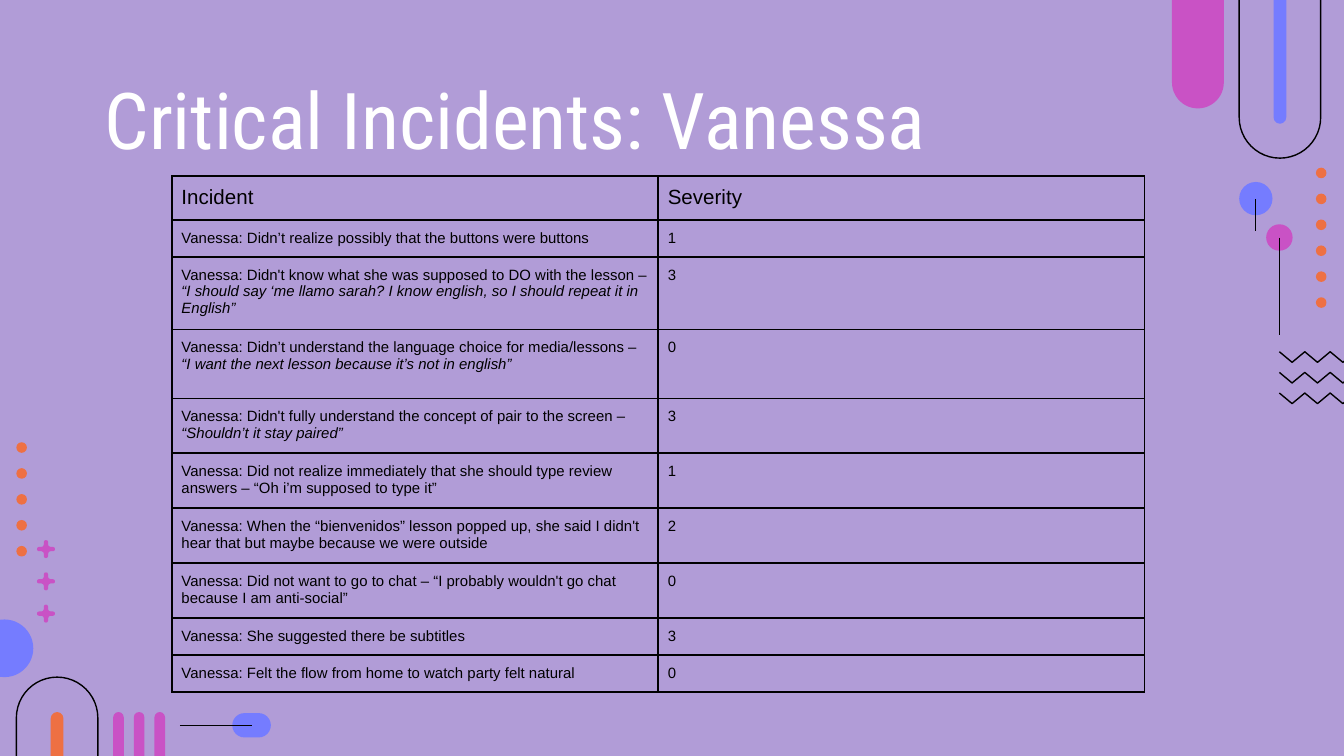
from pptx import Presentation
from pptx.dml.color import RGBColor
from pptx.enum.shapes import MSO_CONNECTOR, MSO_SHAPE as Preset
from pptx.enum.text import MSO_ANCHOR as Anchor
from pptx.oxml import parse_xml
from pptx.oxml.ns import nsdecls
from pptx.util import Cm, Pt

LAVENDER = RGBColor(0xB1, 0x9C, 0xD7)
BLUE = RGBColor(0x75, 0x7C, 0xFF)
PINK = RGBColor(0xC9, 0x52, 0xC5)
ORANGE = RGBColor(0xEE, 0x70, 0x43)
BLACK = RGBColor(0, 0, 0)
WHITE = RGBColor(0xFF, 0xFF, 0xFF)

DOT_SIZE, DOT_STEP = 0.2, 0.49
# Outline of one sparkle quadrant, in units of its radius
SPARKLE_QUADRANT = [(0, -1), (0.16, -0.95), (0.24, -0.79), (0.24, -0.5),
                    (0.3, -0.33), (0.5, -0.24), (0.79, -0.24), (0.95, -0.16)]

# Each row: height, incident paragraphs as (plain, italic) parts, severity
ROWS = [
    (0.79, [("Incident", "")], "Severity"),
    (0.67, [("Vanessa: Didn’t realize possibly that the buttons were buttons", "")], "1"),
    (1.3, [("Vanessa: Didn't know what she was supposed to DO with the lesson –", ""),
           ("", "“I should say ‘me llamo sarah? I know english, so I should "
                "repeat it in English”")], "3"),
    (1.3, [("Vanessa: Didn’t understand the language choice for media/lessons – ",
            "“I want the next lesson because it’s not in english”")], "0"),
    (0.99, [("Vanessa: Didn't fully understand the concept of pair to the screen – ",
             "“Shouldn’t it stay paired”")], "3"),
    (0.99, [("Vanessa: Did not realize immediately that she should type review "
             "answers – “Oh i’m supposed to type it”", "")], "1"),
    (0.99, [("Vanessa: When the “bienvenidos” lesson popped up, she said I didn't "
             "hear that but maybe because we were outside", "")], "2"),
    (0.99, [("Vanessa: Did not want to go to chat – “I probably wouldn't go chat "
             "because I am anti-social”", "")], "0"),
    (0.67, [("Vanessa: She suggested there be subtitles", "")], "3"),
    (0.67, [("Vanessa: Felt the flow from home to watch party felt natural", "")], "0"),
]


def paint(shape, fill=None):
    """Fill the shape, or leave only a thin black outline."""
    shape.shadow.inherit = False
    if fill is None:
        shape.fill.background()
        shape.line.color.rgb = BLACK
        shape.line.width = Pt(0.75)
    else:
        shape.fill.solid()
        shape.fill.fore_color.rgb = fill
        shape.line.fill.background()


def add_circle(slide, left, top, size, fill):
    paint(slide.shapes.add_shape(Preset.OVAL, Cm(left), Cm(top), Cm(size), Cm(size)), fill)


def add_pill(slide, left, top, width, height, fill=None):
    shape = slide.shapes.add_shape(Preset.ROUNDED_RECTANGLE, Cm(left), Cm(top),
                                   Cm(width), Cm(height))
    shape.adjustments[0] = 0.5
    paint(shape, fill)


def add_line(slide, x1, y1, x2, y2):
    line = slide.shapes.add_connector(MSO_CONNECTOR.STRAIGHT, Cm(x1), Cm(y1), Cm(x2), Cm(y2))
    line.line.color.rgb = BLACK
    line.line.width = Pt(0.75)
    line._element.spPr.append(parse_xml(f"<a:effectLst {nsdecls('a')}/>"))


def add_outline(slide, points, close, fill=None):
    points = [(Cm(x), Cm(y)) for x, y in points]
    builder = slide.shapes.build_freeform(*points[0])
    builder.add_line_segments(points[1:], close=close)
    paint(builder.convert_to_shape(), fill)


def add_dots(slide, left, top, count):
    for index in range(count):
        add_circle(slide, left, top + index * DOT_STEP, DOT_SIZE, ORANGE)


def add_sparkle(slide, left, top, size):
    radius = size / 2
    points, quadrant = [], SPARKLE_QUADRANT
    for _ in range(4):
        points += quadrant
        quadrant = [(-y, x) for x, y in quadrant]
    add_outline(slide, [(left + radius * (1 + x), top + radius * (1 + y))
                        for x, y in points], True, PINK)


def add_left_ornaments(slide, left, top):
    # Pill with its line
    add_pill(slide, left + 4.39, top + 5.12, 0.73, 0.46, BLUE)
    add_line(slide, left + 3.4, top + 5.35, left + 4.76, top + 5.35)
    # Sparkles, half circle and bars
    for index in range(3):
        add_sparkle(slide, left + 0.7, top + 1.85 + index * 0.61, 0.34)
    add_circle(slide, left - 0.46, top + 3.35, 1.09, BLUE)
    for index in range(3):
        add_pill(slide, left + 2.14 + index * 0.39, top + 5.1, 0.2, 2.26, PINK)
    add_dots(slide, left + 0.31, top, 5)
    # Arch
    add_pill(slide, left + 0.31, top + 4.44, 1.54, 3.96)
    add_pill(slide, left + 0.96, top + 5.1, 0.24, 2.67, ORANGE)


def add_right_ornaments(slide, left, top):
    # Hanging bars
    add_pill(slide, left, top - 0.97, 0.98, 3.02, PINK)
    add_pill(slide, left + 1.27, top - 0.97, 1.54, 3.96)
    add_pill(slide, left + 1.92, top - 0.33, 0.24, 2.67, BLUE)
    # Circles with stems
    add_circle(slide, left + 1.27, top + 3.44, 0.63, BLUE)
    add_line(slide, left + 1.58, top + 3.76, left + 1.58, top + 4.37)
    add_circle(slide, left + 1.78, top + 4.24, 0.5, PINK)
    add_line(slide, left + 2.03, top + 4.49, left + 2.03, top + 6.34)
    add_dots(slide, left + 2.72, top + 3.17, 6)
    # Zigzags running off the edge
    for row in range(3):
        add_outline(slide, [(left + 2.03 + step * 0.24, top + 6.65 + row * 0.39 + step % 2 * 0.2)
                            for step in range(16)], False)


def set_font(paragraph, name, size, color):
    paragraph.font.name = name
    paragraph.font.size = Pt(size)
    paragraph.font.color.rgb = color


def add_title(slide, left, top, width, height):
    frame = slide.shapes.add_textbox(Cm(left), Cm(top), Cm(width), Cm(height)).text_frame
    frame.word_wrap = True
    frame.vertical_anchor = Anchor.MIDDLE
    frame.margin_left = frame.margin_right = 0
    frame.margin_top = frame.margin_bottom = Cm(0.25)
    paragraph = frame.paragraphs[0]
    paragraph.text = "Critical Incidents: Vanessa"
    set_font(paragraph, "Roboto Condensed", 42, WHITE)


def fill_cell(cell, paragraphs, size):
    cell.fill.background()
    cell.margin_left = cell.margin_right = cell.margin_top = cell.margin_bottom = Cm(0.18)
    frame = cell.text_frame
    for index, (plain, italic) in enumerate(paragraphs):
        paragraph = frame.add_paragraph() if index else frame.paragraphs[0]
        set_font(paragraph, "Arial", size, BLACK)
        if plain:
            paragraph.add_run().text = plain
        if italic:
            run = paragraph.add_run()
            run.text = italic
            run.font.italic = True
    # Borders go ahead of the fill
    properties = cell._tc.get_or_add_tcPr()
    for position, side in enumerate("LRTB"):
        properties.insert(position, parse_xml(
            f'<a:ln{side} {nsdecls("a")} w="{Pt(1)}"><a:solidFill>'
            f'<a:srgbClr val="{BLACK}"/></a:solidFill></a:ln{side}>'))


def add_incident_table(slide, left, top, width):
    height = sum(row[0] for row in ROWS)
    table = slide.shapes.add_table(len(ROWS), 2, Cm(left), Cm(top), Cm(width), Cm(height)).table
    table.first_row = table.horz_banding = False
    for index, (row_height, incident, severity) in enumerate(ROWS):
        table.rows[index].height = Cm(row_height)
        size = 8 if index else 11
        fill_cell(table.cell(index, 0), incident, size)
        fill_cell(table.cell(index, 1), [(severity, "")], size)


def main():
    presentation = Presentation()
    presentation.slide_width, presentation.slide_height = Cm(25.4), Cm(14.29)
    slide = presentation.slides.add_slide(presentation.slide_layouts[6])
    slide.background.fill.solid()
    slide.background.fill.fore_color.rgb = LAVENDER
    add_left_ornaments(slide, 0, 8.36)
    add_right_ornaments(slide, 22.15, 0)
    add_title(slide, 1.98, 1.5, 21.41, 1.47)
    add_incident_table(slide, 3.25, 3.33, 18.38)
    presentation.save("out.pptx")


if __name__ == "__main__":
    main()
